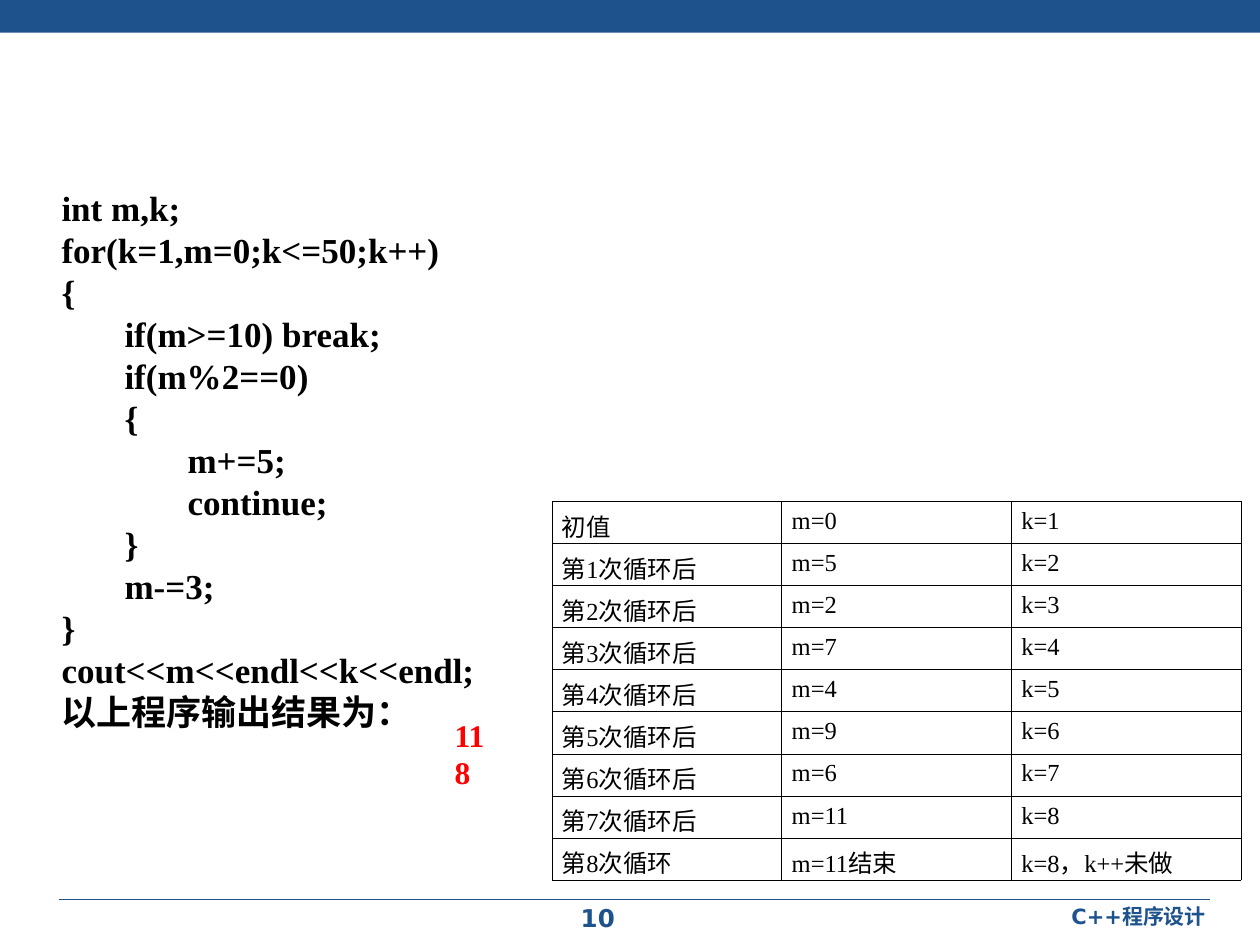
from pptx import Presentation
from pptx.dml.color import RGBColor
from pptx.enum.shapes import MSO_CONNECTOR as Link, MSO_SHAPE as Shape
from pptx.enum.text import MSO_ANCHOR as Anchor, PP_ALIGN as Align
from pptx.oxml import parse_xml
from pptx.oxml.ns import nsdecls
from pptx.util import Inches, Pt

BLUE, BLACK, RED = "1D528D", "000000", "FF0000"
SERIF, SANS = "Times New Roman", "DejaVu Sans"


def tint(code):
    return RGBColor.from_string(code)


class Page:
    cols, rows = 100, 75

    def __init__(self, deck):
        self.deck = deck
        self.slide = deck.slides.add_slide(deck.slide_layouts[6])
        self.shapes = self.slide.shapes

    def grid(self, x, y, *size):
        wide = self.deck.slide_width / self.cols
        high = self.deck.slide_height / self.rows
        spots = zip((x, y, *size), (wide, high, wide, high))
        return [int(spot * unit) for spot, unit in spots]

    def style(self, part, size, font, color, bold):
        for run in part.runs:
            run.font.size, run.font.name = Pt(size), font
            run.font.bold = bold
            run.font.color.rgb = tint(color)

    def bar(self, x, y, w, h, color):
        bar = self.shapes.add_shape(Shape.RECTANGLE, *self.grid(x, y, w, h))
        bar.shadow.inherit = False
        bar.fill.solid()
        bar.fill.fore_color.rgb = tint(color)
        bar.line.fill.background()

    def rule(self, x, y, end, color, width):
        rule = self.shapes.add_connector(
            Link.STRAIGHT, *self.grid(x, y, end, y))
        rule.line.color.rgb = tint(color)
        rule.line.width = Pt(width)
        rule._element.spPr.append(
            parse_xml(f"<a:effectLst {nsdecls('a')}/>"))

    def text(self, x, y, w, h, words, size, font, color, align=Align.LEFT,
             anchor=Anchor.TOP, wrap=True, pitch=None):
        box = self.shapes.add_textbox(*self.grid(x, y, w, h))
        frame = box.text_frame
        frame.text = words
        frame.word_wrap = wrap
        frame.vertical_anchor = anchor
        for part in frame.paragraphs:
            part.alignment = align
            if pitch:
                part.line_spacing = Pt(pitch)
            self.style(part, size, font, color, True)

    def edge(self, cell, color, width):
        props = cell._tc.get_or_add_tcPr()
        for spot, side in enumerate(("lnL", "lnR", "lnT", "lnB")):
            props.insert(spot, parse_xml(
                f'<a:{side} {nsdecls("a")} w="{Pt(width)}"><a:solidFill>'
                f'<a:srgbClr val="{color}"/></a:solidFill></a:{side}>'))

    def table(self, x, y, w, h, data, size, font, color):
        table = self.shapes.add_table(
            len(data), len(data[0]), *self.grid(x, y, w, h)).table
        table.first_row = table.horz_banding = False
        for r, line in enumerate(data):
            for c, words in enumerate(line):
                cell = table.cell(r, c)
                cell.text_frame.text = words
                cell.margin_left = cell.margin_right = Inches(0.08)
                cell.fill.background()
                self.edge(cell, color, 0.45)
                part = cell.text_frame.paragraphs[0]
                part.alignment = Align.JUSTIFY
                self.style(part, size, font, color, False)


CODE = """int m,k;
for(k=1,m=0;k<=50;k++)
{
\tif(m>=10) break;
\tif(m%2==0)
\t{
\t\tm+=5;
\t\tcontinue;
\t}
\tm-=3;
}
cout<<m<<endl<<k<<endl;
以上程序输出结果为："""

STEPS = [("初值", "m=0", "k=1")]
STEPS += [(f"第{n}次循环后", f"m={m}", f"k={n + 1}")
          for n, m in enumerate((5, 2, 7, 4, 9, 6, 11), 1)]
STEPS.append(("第8次循环", "m=11结束", "k=8，k++未做"))


def main():
    deck = Presentation()
    deck.slide_width, deck.slide_height = Inches(10), Inches(7.5)
    page = Page(deck)
    page.bar(0, 0, 100, 2.6, BLUE)
    page.rule(4.7, 71.4, 96, BLUE, 0.75)
    page.text(65, 71.2, 31.7, 3.3, "C++程序设计", 12, SANS, BLUE, Align.RIGHT)
    page.text(3.9, 14.3, 100, 44.4, CODE, 20, SERIF, BLACK,
              anchor=Anchor.MIDDLE, pitch=24)
    page.text(35.1, 56.3, 4.5, 7, "11\n8", 18, SERIF, RED,
              wrap=False, pitch=21.6)
    page.table(43.8, 39.8, 54.7, 30, STEPS, 14, SERIF, BLACK)
    page.text(35.8, 71.2, 23.3, 3.3, "10", 14, SANS, BLUE, Align.CENTER)
    deck.save("out.pptx")


if __name__ == "__main__":
    main()
